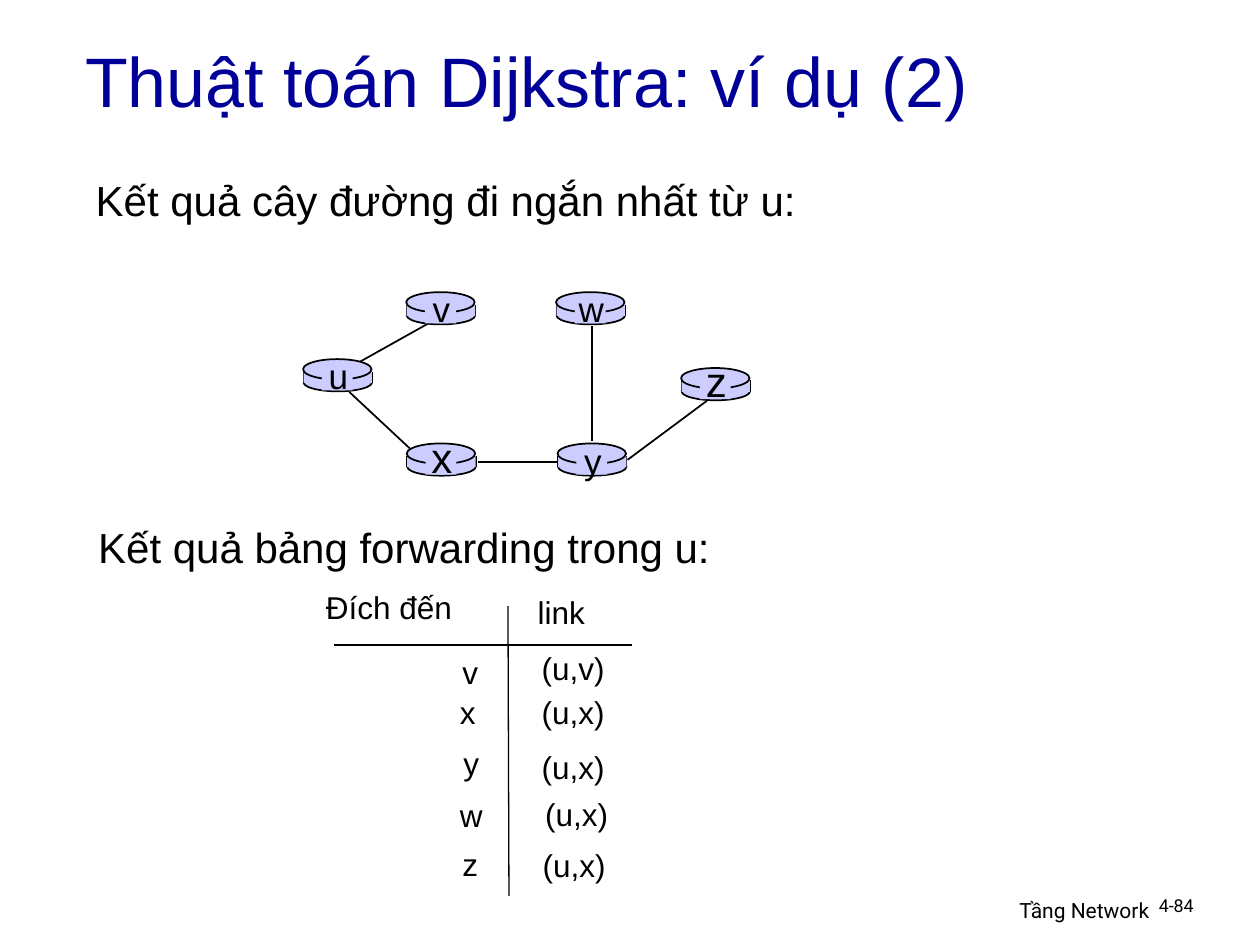
from pptx import Presentation, util as u
from pptx.dml import color
from pptx.enum import shapes, text
from pptx.oxml import ns
from lxml import etree

INK, TITLE, ROUTER = "000000", "000099", "CCCCFF"
ALIGN = text.PP_ALIGN
EDGES = [
    (7.26, 7.29, 8.76, 6.45),
    (7.04, 7.9, 8.26, 9.04),
    (9.63, 9.32, 11.25, 9.32),
    (11.94, 6.58, 11.94, 8.89),
    (12.65, 9.27, 14.25, 8.08),
]
ROUTERS = [
    ("u", 6.11, 7.24, 20),
    ("x", 8.2, 8.94, 24),
    ("v", 8.19, 5.89, 20),
    ("w", 11.21, 5.89, 20),
    ("y", 11.24, 8.94, 20),
    ("z", 13.73, 7.42, 24),
]
FORWARDING = [
    ("Đích đến", 6.32, 11.73, "link", 10.59, 11.84),
    ("v", 9.07, 13.03, "(u,v)", 10.67, 12.95),
    ("x", 9.02, 13.84, "(u,x)", 10.67, 13.84),
    ("y", 9.09, 14.88, "(u,x)", 10.67, 14.96),
    ("w", 9.02, 15.93, "(u,x)", 10.74, 15.9),
    ("z", 9.07, 16.92, "(u,x)", 10.69, 16.94),
]
WIDTHS = {"Đích đến": 3.1, "link": 1.55, "w": 1}


def rgb(value):
    return color.RGBColor.from_string(value)


class Sketch:
    """Draws styled elements, placed in centimetres, on one slide."""

    def __init__(self, page, font="Arial"):
        self.page = page
        self.font = font

    def line(self, x1, y1, x2, y2, weight=1):
        line = self.page.shapes.add_connector(
            shapes.MSO_CONNECTOR.STRAIGHT, u.Cm(x1), u.Cm(y1), u.Cm(x2), u.Cm(y2))
        line.line.color.rgb = rgb(INK)
        line.line.width = u.Pt(weight)
        etree.SubElement(line._element.spPr, ns.qn("a:effectLst"))

    def solid(self, kind, x, y, width, height, outlined=False):
        solid = self.page.shapes.add_shape(
            kind, u.Cm(x), u.Cm(y), u.Cm(width), u.Cm(height))
        solid.shadow.inherit = False
        solid.fill.solid()
        solid.fill.fore_color.rgb = rgb(ROUTER)
        if outlined:
            solid.line.color.rgb = rgb(INK)
            solid.line.width = u.Pt(1)
        else:
            solid.line.fill.background()

    def text(self, words, x, y, width, height, size, ink=INK, font=None,
             align=ALIGN.LEFT, wrap=False, middle=False, spacing=None):
        box = self.page.shapes.add_textbox(
            u.Cm(x), u.Cm(y), u.Cm(width), u.Cm(height))
        frame = box.text_frame
        frame.word_wrap = wrap
        if not wrap:
            frame.auto_size = text.MSO_AUTO_SIZE.SHAPE_TO_FIT_TEXT
        if middle:
            frame.vertical_anchor = text.MSO_ANCHOR.MIDDLE
        para = frame.paragraphs[0]
        para.text = words
        para.alignment = align
        para.line_spacing = spacing
        para.font.name = font or self.font
        para.font.size = u.Pt(size)
        para.font.color.rgb = rgb(ink)

    def router(self, name, x, y, size):
        oval, block = shapes.MSO_SHAPE.OVAL, shapes.MSO_SHAPE.RECTANGLE
        width, top, bottom = 1.38, y + 0.25, y + 0.48
        self.solid(oval, x + 0.01, y + 0.29, width, 0.36, outlined=True)
        for side in (x + 0.01, x + 0.01 + width):
            self.line(side, top, side, bottom)
        self.solid(block, x + 0.01, top, width, bottom - top)
        self.solid(oval, x, y, width, 0.41, outlined=True)
        self.solid(block, x + 0.38, y + 0.05, 0.62, 0.58)
        height = 1.27 if size > 20 else 1.11
        self.text(name, x + 0.2, y + 0.9 - height, 1.02, height, size,
                  align=ALIGN.CENTER)


def main():
    deck = Presentation()
    deck.slide_width, deck.slide_height = u.Cm(25.4), u.Cm(19.05)
    sketch = Sketch(deck.slides.add_slide(deck.slide_layouts[6]))

    sketch.text("Tầng Network", 15.37, 17.96, 8.05, 0.79, 12, font="Roboto",
                align=ALIGN.RIGHT, wrap=True)
    sketch.text("4-84", 23.11, 17.96, 1.88, 0.76, 10.2, font="Roboto",
                wrap=True, spacing=0.9)
    sketch.text("Thuật toán Dijkstra: ví dụ (2)", 1.47, 0.43, 21.59, 2.36, 40,
                ink=TITLE, wrap=True, middle=True)

    for edge in EDGES:
        sketch.line(*edge)
    for router in ROUTERS:
        sketch.router(*router)
    sketch.text("Kết quả cây đường đi ngắn nhất từ u:", 1.68, 3.4, 14.7, 1.27, 24)

    sketch.line(10.24, 12.22, 10.26, 18.06, 0.75)
    sketch.line(6.73, 13, 12.75, 13, 0.75)
    for target, left, top, link, link_left, link_top in FORWARDING:
        sketch.text(target, left, top, WIDTHS.get(target, 0.83), 1.02, 18)
        sketch.text(link, link_left, link_top, WIDTHS.get(link, 1.8), 1.02, 18)
    sketch.text("Kết quả bảng forwarding trong u:", 1.73, 10.39, 12.95, 1.27, 24)

    deck.save("out.pptx")


if __name__ == "__main__":
    main()
